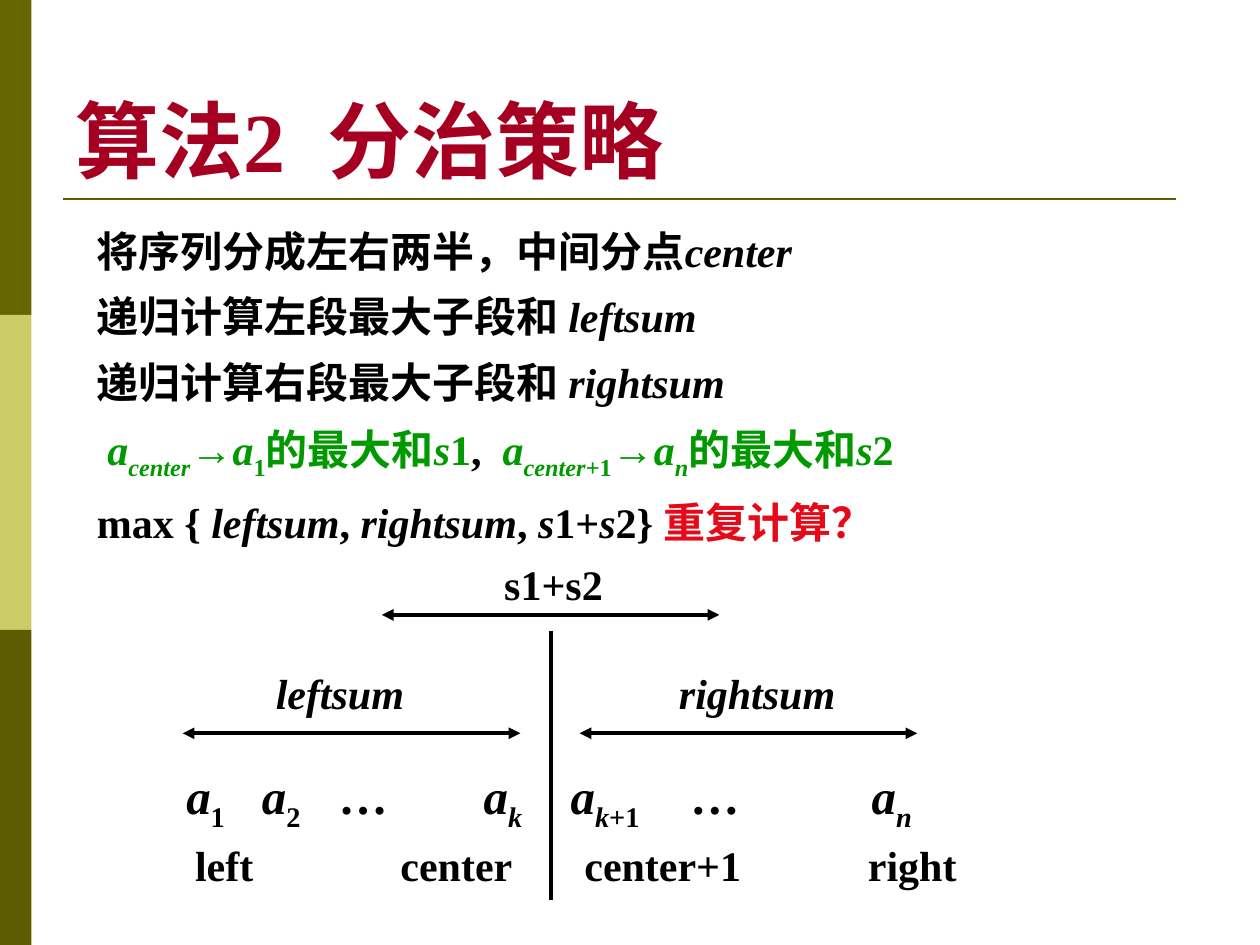
from lxml import etree
from pptx import Presentation
from pptx.dml.color import RGBColor
from pptx.enum.shapes import MSO_CONNECTOR, MSO_SHAPE
from pptx.enum.text import MSO_ANCHOR, MSO_AUTO_SIZE, PP_ALIGN
from pptx.oxml.ns import qn
from pptx.util import Inches, Pt

STRAIGHT = MSO_CONNECTOR.STRAIGHT
RECTANGLE = MSO_SHAPE.RECTANGLE
BOTTOM = MSO_ANCHOR.BOTTOM
NO_AUTOFIT = MSO_AUTO_SIZE.NONE
LEFT = PP_ALIGN.LEFT

OLIVE = RGBColor(0x66, 0x66, 0x00)
LIME = RGBColor(0xCC, 0xCC, 0x66)
DARK_OLIVE = RGBColor(0x5E, 0x5C, 0x00)
CRIMSON = RGBColor(0xA5, 0x00, 0x21)
BLACK = RGBColor(0x00, 0x00, 0x00)
GREEN = RGBColor(0x00, 0x99, 0x00)
RED = RGBColor(0xE5, 0x09, 0x19)
SERIF, SANS = "Times New Roman", "Arial"

# Content: a run is (text, marks); i italic, _ subscript, g green, r red, s sans
TITLE = "算法2  分治策略"
STEPS = [
    [("将序列分成左右两半，中间分点", ""), ("center", "i")],
    [("递归计算左段最大子段和 ", ""), ("leftsum", "i")],
    [("递归计算右段最大子段和 ", ""), ("rightsum", "i")],
    [(" ", ""), ("a", "gi"), ("center", "gi_"), ("→", "g"), ("a", "gi"),
     ("1", "g_"), ("的最大和", "g"), ("s", "gi"), ("1", "g"), (",  ", ""),
     ("a", "gi"), ("center", "gi_"), ("+1", "g_"), ("→", "gs"), ("a", "gi"),
     ("n", "gi_"), ("的最大和", "g"), ("s", "gi"), ("2", "g")],
    [("max { ", ""), ("leftsum", "i"), (", ", ""), ("rightsum", "i"),
     (", ", ""), ("s", "i"), ("1+", ""), ("s", "i"), ("2} ", ""),
     ("重复计算？", "r")],
]
ELEMENTS = [
    ("a", "i"), ("1", "_"), ("\t", ""), ("a", "i"), ("2", "_"),
    ("\t…\t", ""), ("a", "i"), ("k", "i_"), ("\t", ""), ("a", "i"),
    ("k", "i_"), ("+1", "_"), ("\t…\t", ""), ("a", "i"), ("n", "i_"),
]
ELEMENT_TABS = [0.6, 1.21, 2.36, 3.05, 4.0, 5.44]
INDEXES = [("left\tcenter\tcenter+1\tright", "")]
INDEX_TABS = [1.63, 3.09, 5.34]

# Diagram labels: left, top, width, height, size, runs, tab stops
LABELS = [
    (2.09, 5.25, 1.22, 0.5, 24, [("leftsum", "i")], []),
    (5.29, 5.25, 1.44, 0.5, 24, [("rightsum", "i")], []),
    (1.38, 6.03, 6.38, 0.57, 28, ELEMENTS, ELEMENT_TABS),
    (1.45, 6.61, 6.46, 0.5, 24, INDEXES, INDEX_TABS),
    (3.82, 4.38, 1.42, 0.5, 24, [(" s1+s2", "")], []),
]
# Sum ranges, all of one length: left end, height on the slide
RANGE_LENGTH = 2.68
RANGES = [(1.45, 5.82), (4.6, 5.82), (3.03, 4.88)]


def write_runs(paragraph, runs, size):
    for text, marks in runs:
        run = paragraph.add_run()
        run.text = text
        font = run.font
        font.name = SANS if "s" in marks else SERIF
        font.size = Pt(size)
        font.bold = True
        font.italic = "i" in marks
        font.color.rgb = GREEN if "g" in marks else RED if "r" in marks else BLACK
        if "_" in marks:
            run._r.get_or_add_rPr().set("baseline", "-25000")


def set_tabs(paragraph, stops):
    tab_list = etree.SubElement(paragraph._p.get_or_add_pPr(), qn("a:tabLst"))
    for stop in stops:
        etree.SubElement(tab_list, qn("a:tab"), pos=str(Inches(stop)), algn="l")


def add_text_frame(slide, left, top, width, height):
    frame = slide.shapes.add_textbox(
        Inches(left), Inches(top), Inches(width), Inches(height)).text_frame
    frame.word_wrap = True
    return frame


def add_line(slide, x1, y1, x2, y2, color, width, arrows=False):
    line = slide.shapes.add_connector(
        STRAIGHT, Inches(x1), Inches(y1), Inches(x2), Inches(y2))
    line.line.color.rgb = color
    line.line.width = Pt(width)
    if arrows:
        outline = line.line._get_or_add_ln()
        for end in ("a:headEnd", "a:tailEnd"):
            etree.SubElement(outline, qn(end), type="triangle")
    etree.SubElement(line._element.spPr, qn("a:effectLst"))


def main():
    prs = Presentation()
    prs.slide_width, prs.slide_height = Inches(10), Inches(7.5)
    slide = prs.slides.add_slide(prs.slide_layouts[5])

    # Side band and title rule
    for row, color in enumerate((OLIVE, LIME, DARK_OLIVE)):
        band = slide.shapes.add_shape(
            RECTANGLE, 0, Inches(2.5 * row), Inches(0.25), Inches(2.5))
        band.shadow.inherit = False
        band.fill.solid()
        band.fill.fore_color.rgb = color
        band.line.fill.background()
    add_line(slide, 0.5, 1.58, 9.33, 1.58, DARK_OLIVE, 1.5)

    # Title
    title = slide.shapes.title
    title.left, title.top = Inches(0.5), Inches(0.3)
    title.width, title.height = Inches(9), Inches(1.25)
    frame = title.text_frame
    frame.text = TITLE
    frame.vertical_anchor = BOTTOM
    frame.auto_size = NO_AUTOFIT
    heading = frame.paragraphs[0]
    heading.alignment = LEFT
    font = heading.runs[0].font
    font.name, font.size, font.bold = SERIF, Pt(48), True
    font.color.rgb = CRIMSON

    # Steps of the algorithm
    steps = add_text_frame(slide, 0.67, 1.62, 8.27, 2.7)
    for number, runs in enumerate(STEPS):
        step = steps.add_paragraph() if number else steps.paragraphs[0]
        step.line_spacing = 1.3
        write_runs(step, runs, 24)

    # Diagram: divider, sum ranges and labels
    add_line(slide, 4.37, 5.01, 4.37, 7.14, BLACK, 2.25)
    for left, y in RANGES:
        add_line(slide, left, y, left + RANGE_LENGTH, y, BLACK, 2.25, arrows=True)
    for left, top, width, height, size, runs, stops in LABELS:
        label = add_text_frame(slide, left, top, width, height).paragraphs[0]
        if stops:
            set_tabs(label, stops)
        write_runs(label, runs, size)

    prs.save("out.pptx")


if __name__ == "__main__":
    main()
